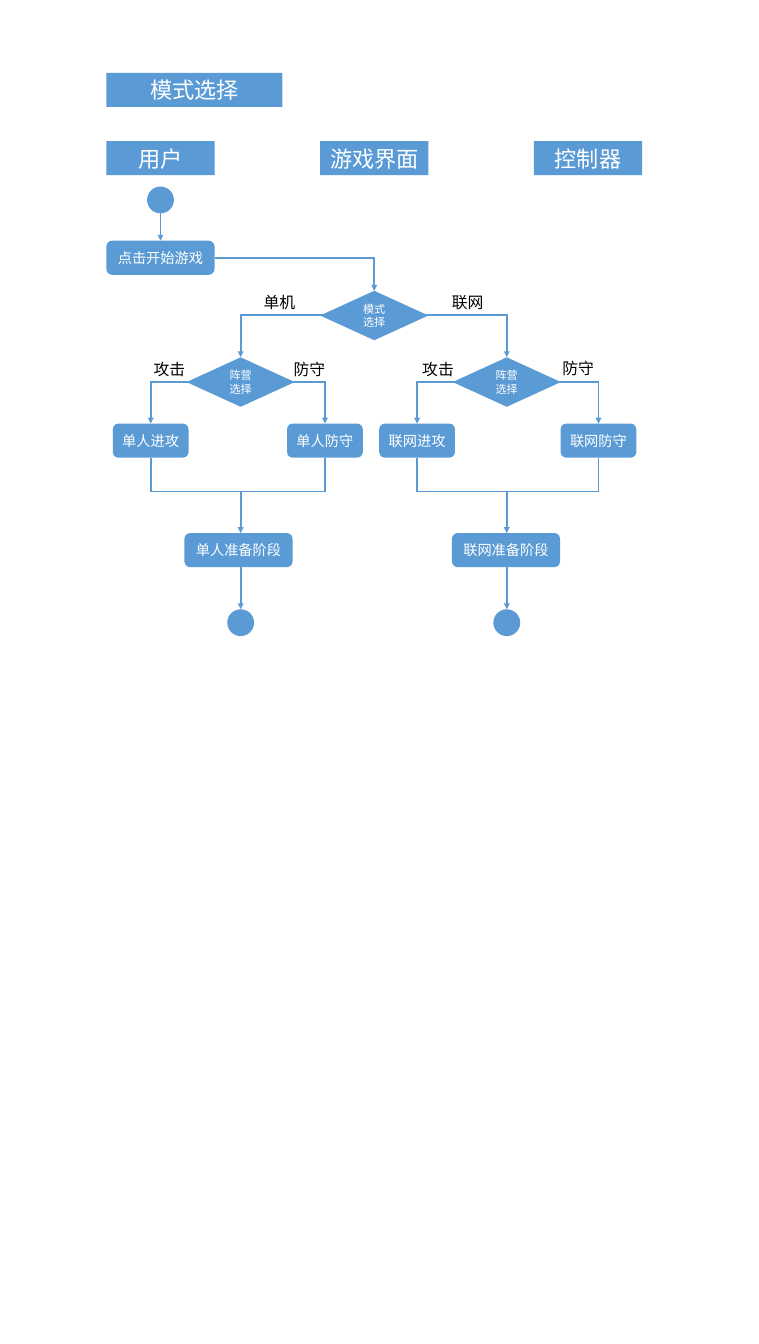
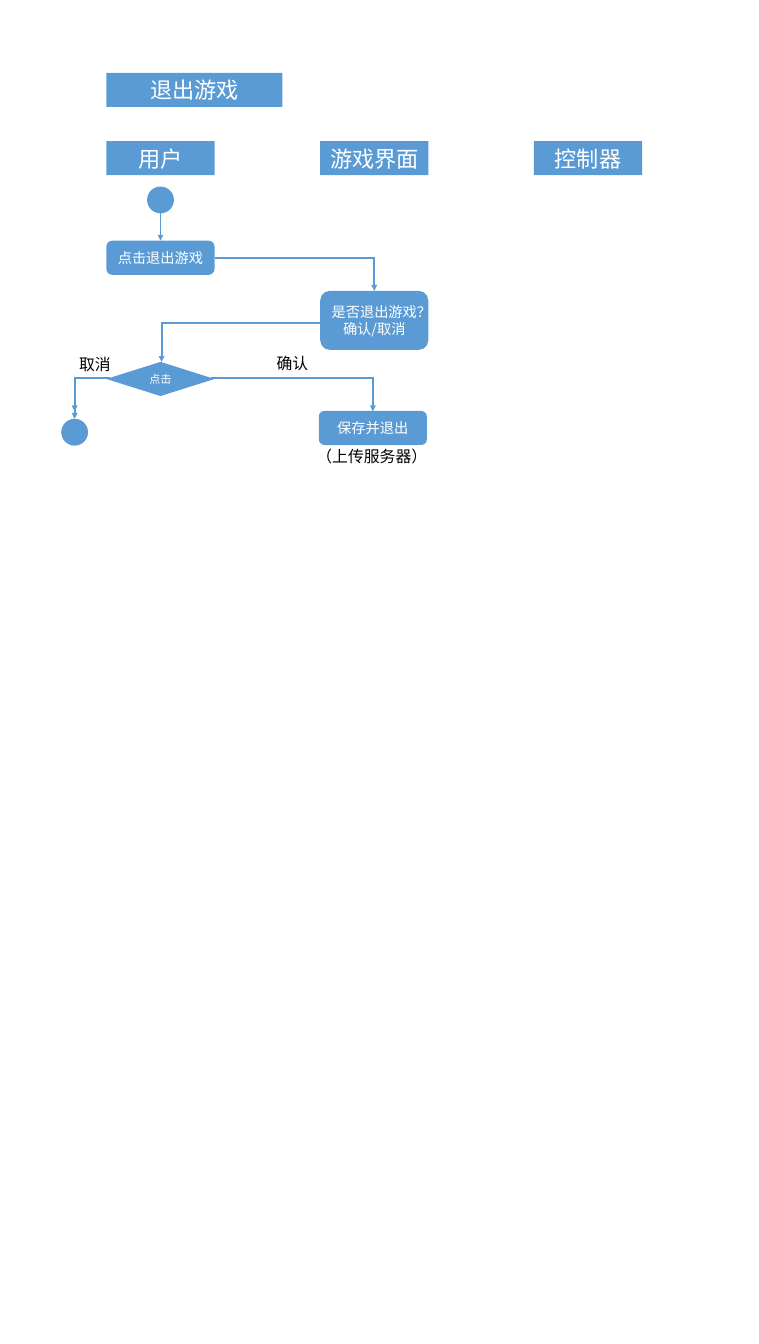
from dataclasses import dataclass

from lxml.etree import SubElement
from pptx import Presentation
from pptx.dml.color import RGBColor
from pptx.enum.lang import MSO_LANGUAGE_ID as Language
from pptx.enum.shapes import MSO_CONNECTOR as Connector
from pptx.enum.shapes import MSO_SHAPE as Shape
from pptx.enum.text import MSO_ANCHOR as Anchor
from pptx.enum.text import MSO_AUTO_SIZE as AutoSize
from pptx.enum.text import PP_ALIGN as Align
from pptx.oxml.ns import qn
from pptx.util import Pt


@dataclass(frozen=True)
class Theme:
    font: str = "Noto Sans CJK SC"
    blue: RGBColor = RGBColor(0x5B, 0x9B, 0xD5)
    white: RGBColor = RGBColor(255, 255, 255)
    black: RGBColor = RGBColor(0, 0, 0)
    heading: int = 28
    label: int = 20
    step: int = 18
    decision: int = 14
    line: float = 2.25
    arrow: float = 2.5


THEME = Theme()
LANES = [203 + 270.4 * i for i in range(3)]
LANE_NAMES = ["用户", "游戏界面", "控制器"]
LEFT = 134.6
BOX_W, BOX_H = 136.8, 43.2
LEAF_W = 95.8
DECISION_H = 62.6
DOT = 34
TUCK = 5


def write(frame, text, *, size, color, align=Align.CENTER, anchor=Anchor.MIDDLE, wrap=True):
    frame.word_wrap = wrap
    frame.vertical_anchor = anchor
    for i, words in enumerate(text.split("\n")):
        paragraph = frame.paragraphs[0] if i == 0 else frame.add_paragraph()
        paragraph.alignment = align
        run = paragraph.add_run()
        run.text = words
        font = run.font
        font.name, font.size, font.color.rgb = THEME.font, Pt(size), color
        font.language_id = Language.SIMPLIFIED_CHINESE
        SubElement(font._element, qn("a:ea")).set("typeface", THEME.font)


def node(slide, kind, center, top, width=BOX_W, height=BOX_H, text="", size=THEME.step):
    body = slide.shapes.add_shape(kind, Pt(center - width / 2), Pt(top), Pt(width), Pt(height))
    body.shadow.inherit = False
    body.fill.solid()
    body.fill.fore_color.rgb = THEME.blue
    body.line.fill.background()
    if text:
        write(body.text_frame, text, size=size, color=THEME.white)


def heading(slide, text, center, top, width=BOX_W):
    node(slide, Shape.RECTANGLE, center, top, width, text=text, size=THEME.heading)


def step(slide, text, center, top, width=BOX_W, height=BOX_H):
    node(slide, Shape.ROUNDED_RECTANGLE, center, top, width, height, text)


def decision(slide, text, center, top, height=DECISION_H):
    node(slide, Shape.FLOWCHART_DECISION, center, top, BOX_W, height, text, THEME.decision)


def dot(slide, center, top):
    node(slide, Shape.OVAL, center, top, DOT, DOT)


def label(slide, text, left, top, width=54.4):
    box = slide.shapes.add_textbox(Pt(left), Pt(top), Pt(width), Pt(31.5))
    write(box.text_frame, text, size=THEME.label, color=THEME.black,
          align=Align.LEFT, anchor=Anchor.TOP, wrap=False)
    box.text_frame.auto_size = AutoSize.SHAPE_TO_FIT_TEXT


def line(slide, x1, y1, x2, y2, arrow=False):
    link = slide.shapes.add_connector(Connector.STRAIGHT, Pt(x1), Pt(y1), Pt(x2), Pt(y2))
    link.line.color.rgb = THEME.blue
    link.line.width = Pt(THEME.arrow if arrow else THEME.line)
    if arrow:
        SubElement(link.line._get_or_add_ln(), qn("a:tailEnd")).set("type", "triangle")
    SubElement(link._element.spPr, qn("a:effectLst"))


def down(slide, x, top, bottom):
    line(slide, x, top, x, bottom, arrow=True)


def elbow(slide, start, x, y, bottom):
    overlap = THEME.line / 2 if x > start else -THEME.line / 2
    line(slide, start, y, x + overlap, y)
    down(slide, x, y, bottom)


def split(slide, center, y, targets, bottom):
    for x in targets:
        reach = BOX_W / 2 - TUCK
        elbow(slide, center + (reach if x > center else -reach), x, y, bottom)


def lane_page(deck, title, first_step):
    slide = deck.slides.add_slide(deck.slide_layouts[6])
    title_w = 222.5
    heading(slide, title, LEFT + title_w / 2, 92.2, title_w)
    for name, center in zip(LANE_NAMES, LANES):
        heading(slide, name, center, 178.6)
    user, screen, _ = LANES
    dot(slide, user, 236)
    down(slide, user, 270, 304.6)
    step(slide, first_step, user, 304.6)
    elbow(slide, user + BOX_W / 2, screen, 326.2, 368)
    return slide


def camp_branch(slide, mode, center, leaves, stage_center):
    decision(slide, "阵营\n选择", center, 452.2)
    split(slide, center, 483.2, leaves, 536)
    for action, x in zip(("进攻", "防守"), leaves):
        step(slide, mode + action, x, 536, LEAF_W)
        line(slide, x, 579.2, x, 622)
    overlap = THEME.line / 2
    line(slide, leaves[0] - overlap, 622, leaves[1] + overlap, 622)
    down(slide, center, 622, 674.6)
    step(slide, mode + "准备阶段", stage_center, 674.6)
    down(slide, center, 717.8, 771)
    dot(slide, center, 771)


def mode_page(deck):
    slide = lane_page(deck, "模式选择", "点击开始游戏")
    screen = LANES[1]
    solo, online = 304.4, 641
    decision(slide, "模式\n选择", screen, 368)
    split(slide, screen, 399, (solo, online), 452)
    camp_branch(slide, "单人", solo, (190.6, 411), 301.7)
    camp_branch(slide, "联网", online, (527.6, 757), 640)
    for text, left, top in [
        ("单机", 326.2, 366.5), ("联网", 564.5, 366.5),
        ("攻击", 187.2, 451.4), ("防守", 364.3, 452.2),
        ("攻击", 527, 452.2), ("防守", 704.2, 450),
    ]:
        label(slide, text, left, top)


def exit_page(deck):
    slide = lane_page(deck, "退出游戏", "点击退出游戏")
    user, screen, _ = LANES
    cancel, save = 94.4, 471.6
    step(slide, "是否退出游戏？\n确认/取消", screen, 368, height=74.9)
    elbow(slide, screen - BOX_W / 2, user + 1.4, 409, 458)
    decision(slide, "点击", user, 458, BOX_H)
    split(slide, user, 478.4, (cancel, save), 520.6)
    dot(slide, cancel, 530)
    down(slide, cancel, 478.4, 530)
    step(slide, "保存并退出", save, 520)
    label(slide, "取消", 92.9, 445.7)
    label(slide, "确认", 342.7, 444.2)
    label(slide, "（上传服务器）", 393.1, 562.3, 156.2)


def main():
    deck = Presentation()
    deck.slide_width, deck.slide_height = Pt(960), Pt(1700.8)
    mode_page(deck)
    exit_page(deck)
    deck.save("out.pptx")


main()
